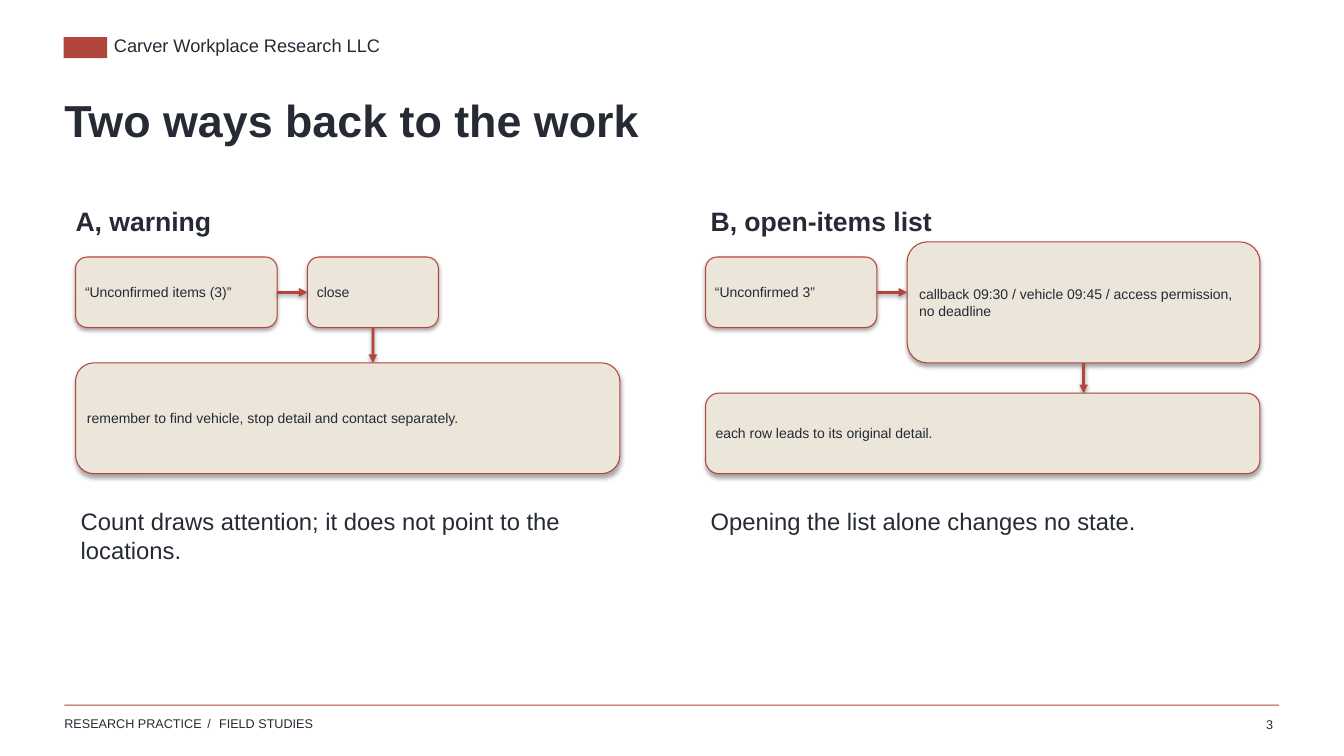
import pptx
import pptx.util
import pptx.dml.color
import pptx.enum.shapes
import pptx.enum.text
from lxml import etree

Pt = pptx.util.Pt
RGB = pptx.dml.color.RGBColor
KIND = pptx.enum.shapes.MSO_SHAPE
LINK = pptx.enum.shapes.MSO_CONNECTOR
ANCHOR = pptx.enum.text.MSO_ANCHOR
SIZE = pptx.enum.text.MSO_AUTO_SIZE
ALIGN = pptx.enum.text.PP_ALIGN

INK = RGB(0x25, 0x2A, 0x35)
RED = RGB(0xB3, 0x46, 0x3C)
SAND = RGB(0xEC, 0xE5, 0xDA)
FONT = "Arial"
NS = "http://schemas.openxmlformats.org/drawingml/2006/main"
RIGHT, DOWN = 3, 2  # connection sites of a box


def node(parent, tag, **attrs):
    return etree.SubElement(parent, f"{{{NS}}}{tag}", **attrs)


class Board:
    def __init__(self, slide):
        self.slide = slide
        self.shapes = slide.shapes

    def label(self, shape, runs, size, inset, bold=False, align=ALIGN.LEFT):
        """Fill a shape with runs, each a (text, letter spacing) pair."""
        frame = shape.text_frame
        frame.word_wrap = True
        (frame.margin_left, frame.margin_top,
         frame.margin_right, frame.margin_bottom) = map(Pt, inset)
        para = frame.paragraphs[0]
        para.alignment = align
        for text, gap in runs:
            run = para.add_run()
            run.text = text
            run.font.name = FONT
            run.font.size = Pt(size)
            run.font.bold = bold
            run.font.color.rgb = INK
            if gap:
                run.font._element.set("spc", str(gap))
        return frame

    def title(self, text, *area):
        shape = self.shapes.title
        shape.left, shape.top, shape.width, shape.height = map(Pt, area)
        frame = self.label(shape, [(text, 0)], 32, (0, 0, 0, 3.6), True)
        frame.vertical_anchor = ANCHOR.TOP
        frame.auto_size = SIZE.NONE

    def text(self, runs, size, *area, inset=(3.6, 2.16, 3.6, 2.16), **style):
        shape = self.shapes.add_textbox(*map(Pt, area))
        frame = self.label(shape, runs, size, inset, **style)
        frame.auto_size = SIZE.SHAPE_TO_FIT_TEXT

    def bar(self, *area):
        shape = self.shapes.add_shape(KIND.RECTANGLE, *map(Pt, area))
        shape.shadow.inherit = False
        shape.fill.solid()
        shape.fill.fore_color.rgb = RED
        shape.line.fill.background()

    def shade(self, shape, drop, alpha):
        effect = node(shape.element.spPr, "effectLst")
        outer = node(effect, "outerShdw", blurRad=str(Pt(3.1)),
                     dist=str(Pt(drop)), dir="5400000", rotWithShape="0")
        color = node(outer, "srgbClr", val="000000")
        node(color, "alpha", val=str(alpha * 1000))

    def box(self, text, *area):
        shape = self.shapes.add_shape(KIND.ROUNDED_RECTANGLE, *map(Pt, area))
        shape.fill.solid()
        shape.fill.fore_color.rgb = SAND
        shape.line.color.rgb = RED
        shape.line.width = Pt(0.75)
        self.shade(shape, 1.8, 35)
        frame = self.label(shape, [(text, 0)], 10, (4.32, 3.6, 4.32, 3.6))
        frame.vertical_anchor = ANCHOR.MIDDLE
        return shape

    def arrow(self, start, site, x, y):
        """Run from a side of the start box to the point x, y."""
        link = self.shapes.add_connector(LINK.STRAIGHT, 0, 0, Pt(x), Pt(y))
        link.begin_connect(start, site)
        link.line.color.rgb = RED
        link.line.width = Pt(2)
        node(link.get_or_add_ln(), "tailEnd", type="triangle")
        self.shade(link, 1.6, 38)


def main():
    deck = pptx.Presentation()
    deck.slide_width, deck.slide_height = Pt(960), Pt(540)
    board = Board(deck.slides.add_slide(deck.slide_layouts[5]))

    # Header and footer
    flush = (0, 0, 7.2, 3.6)
    board.bar(45.5, 26.6, 31, 15)
    board.text([("Carver Workplace Research LLC", 0)], 13,
               81.4, 24.5, 396, 21.6, inset=flush)
    board.bar(46, 503.3, 867.6, 0.72)
    board.text([("RESEARCH PRACTICE", 0), (" / ", 167), ("FIELD STUDIES", 0)],
               9, 46, 511.2, 396, 17.3, inset=flush)
    board.text([("3", 0)], 9, 873.4, 509.8, 39.6, 16.6, align=ALIGN.RIGHT)
    board.title("Two ways back to the work", 46, 66.2, 864, 72)

    # Headings and closing notes of both columns
    for head, head_x, note, x, wide in (
            ("A, warning", 50.4,
             "Count draws attention; it does not point to the locations.",
             54, 388.8),
            ("B, open-items list", 504,
             "Opening the list alone changes no state.", 504, 396)):
        board.text([(head, 0)], 19, head_x, 144, 396, 28.8, bold=True)
        board.text([(note, 0)], 17, x, 360, wide, 72)

    # Flow A
    count = board.box("“Unconfirmed items (3)”", 54, 183.6, 144, 50.4)
    close = board.box("close", 219.6, 183.6, 93.6, 50.4)
    board.arrow(count, RIGHT, 219.6, 208.8)
    board.arrow(close, DOWN, 266.4, 259.2)
    board.box("remember to find vehicle, stop detail and contact separately.",
              54, 259.2, 388.8, 79.2)

    # Flow B
    count = board.box("“Unconfirmed 3”", 504, 183.6, 122.4, 50.4)
    items = board.box(
        "callback 09:30 / vehicle 09:45 / access permission, no deadline",
        648, 172.8, 252, 86.4)
    board.arrow(count, RIGHT, 648, 208.8)
    board.arrow(items, DOWN, 774, 280.8)
    board.box("each row leads to its original detail.",
              504, 280.8, 396, 57.6)

    deck.save("out.pptx")


if __name__ == "__main__":
    main()
